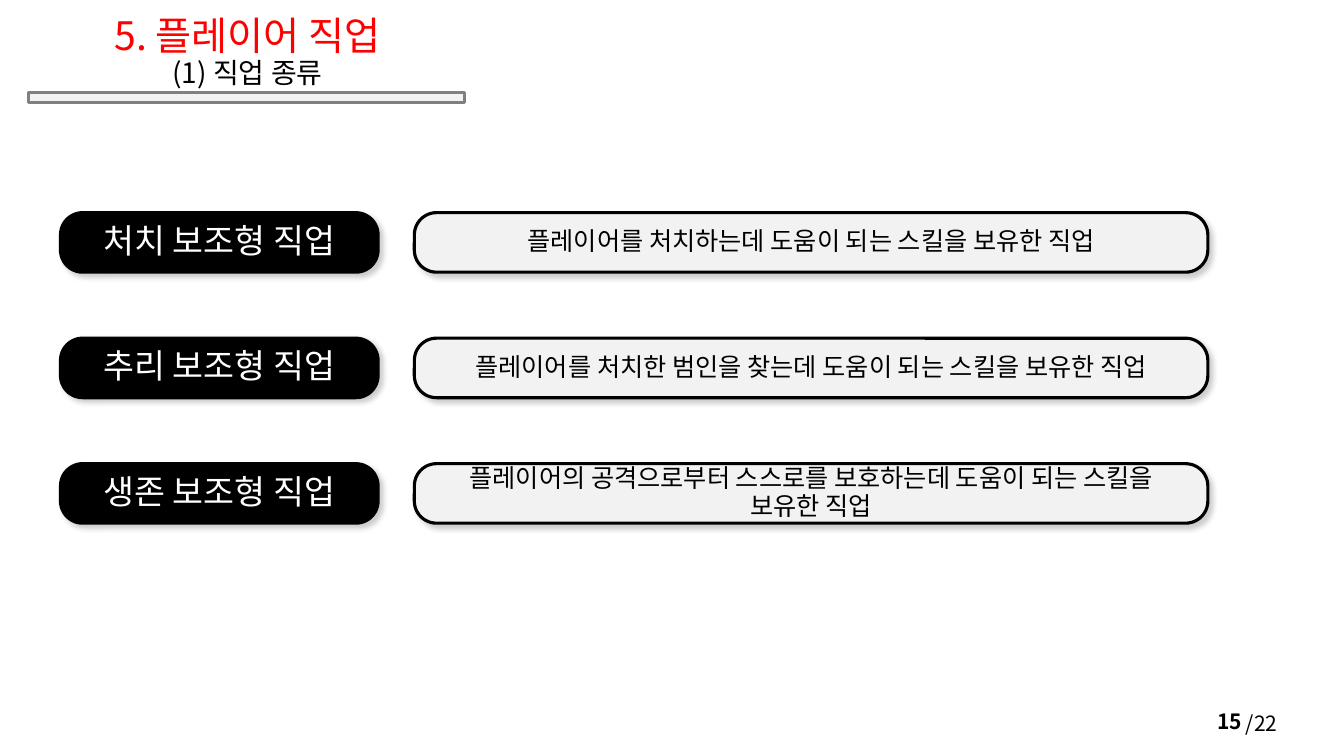
from lxml import etree
from pptx import Presentation
from pptx.dml.color import RGBColor
from pptx.enum.shapes import MSO_SHAPE
from pptx.enum.text import MSO_ANCHOR, MSO_AUTO_SIZE, PP_ALIGN
from pptx.oxml import parse_xml
from pptx.oxml.ns import qn
from pptx.util import Inches, Pt

RECT, ROUND = MSO_SHAPE.RECTANGLE, MSO_SHAPE.ROUNDED_RECTANGLE
TOP, MIDDLE, BOTTOM = MSO_ANCHOR.TOP, MSO_ANCHOR.MIDDLE, MSO_ANCHOR.BOTTOM
LEFT, CENTER, RIGHT = PP_ALIGN.LEFT, PP_ALIGN.CENTER, PP_ALIGN.RIGHT
NO_FIT = MSO_AUTO_SIZE.NONE

FONT = "Noto Sans CJK KR"
BLACK = RGBColor(0x00, 0x00, 0x00)
WHITE = RGBColor(0xFF, 0xFF, 0xFF)
RED = RGBColor(0xFF, 0x00, 0x00)
PALE = RGBColor(0xF2, 0xF2, 0xF2)
GRAY = RGBColor(0x80, 0x80, 0x80)

SHADOW = (
    '<a:effectLst xmlns:a="http://schemas.openxmlformats.org/drawingml/2006/main">'
    f'<a:outerShdw blurRad="{Pt(4)}" dist="{Pt(3)}" dir="2700000" algn="tl" '
    'rotWithShape="0"><a:srgbClr val="000000"><a:alpha val="20000"/></a:srgbClr>'
    '</a:outerShdw></a:effectLst>'
)

JOBS = [
    ("처치 보조형 직업", "플레이어를 처치하는데 도움이 되는 스킬을 보유한 직업"),
    ("추리 보조형 직업", "플레이어를 처치한 범인을 찾는데 도움이 되는 스킬을 보유한 직업"),
    ("생존 보조형 직업",
     "플레이어의 공격으로부터 스스로를 보호하는데 도움이 되는 스킬을 보유한 직업"),
]
ROW_TOP, ROW_STEP, ROW_HIGH = 2.11, 1.245, 0.59


def set_face(para):
    """Use the font for Latin and Korean letters alike, without kerning."""
    para.font.name = FONT
    props = para._p.pPr.find(qn("a:defRPr"))
    props.set("kern", "0")
    etree.SubElement(props, qn("a:ea")).set("typeface", FONT)


def set_text(shape, text, size, color, align, anchor, bold=False):
    frame = shape.text_frame
    frame.word_wrap = True
    frame.vertical_anchor = anchor
    para = frame.paragraphs[0]
    para.text = text
    para.alignment = align
    set_face(para)
    para.font.size = Pt(size)
    para.font.color.rgb = color
    para.font.bold = bold
    return para


def add_label(slide, box, text, align, anchor, bold=False):
    label = slide.shapes.add_textbox(*map(Inches, box))
    set_text(label, text, 15, BLACK, align, anchor, bold)


def add_box(slide, kind, box, fill, line):
    shape = slide.shapes.add_shape(kind, *map(Inches, box))
    shape.fill.solid()
    shape.fill.fore_color.rgb = fill
    shape.line.color.rgb = line
    shape.line.width = Pt(2.25)
    shape.shadow.inherit = False
    return shape


def add_pill(slide, box, text, size, fill, color):
    pill = add_box(slide, ROUND, box, fill, BLACK)
    pill.adjustments[0] = 0.372
    props = pill._element.spPr
    props.replace(props.find(qn("a:effectLst")), parse_xml(SHADOW))
    para = set_text(pill, text, size, color, CENTER, MIDDLE)
    para.line_spacing = 0.9
    # Keep the lines clear of the round ends
    frame = pill.text_frame
    frame.margin_left = frame.margin_right = Inches(0.2)


def set_title(slide):
    title = slide.shapes.title
    title.left, title.top = Inches(0.38), Inches(0.29)
    title.width, title.height = Inches(4.15), Inches(0.65)
    frame = title.text_frame
    frame.auto_size = NO_FIT
    frame.word_wrap = True
    frame.vertical_anchor = BOTTOM
    para = frame.paragraphs[0]
    para.alignment = CENTER
    para.line_spacing = 0.9
    set_face(para)
    for text, size, color in (("5. 플레이어 직업", 28, RED),
                              ("(1) 직업 종류", 20, BLACK)):
        if para.runs:
            para.add_line_break()
        run = para.add_run()
        run.text = text
        run.font.size = Pt(size)
        run.font.color.rgb = color


def main():
    deck = Presentation()
    deck.slide_width, deck.slide_height = Inches(13.33), Inches(7.5)
    slide = deck.slides.add_slide(deck.slide_layouts[5])

    # Heading and its bar
    add_box(slide, RECT, (0.28, 0.92, 4.33, 0.1), PALE, GRAY)
    set_title(slide)

    # Page number
    add_label(slide, (12.26, 7, 0.74, 0.35), "/22", LEFT, TOP)
    add_label(slide, (9.42, 6.95, 3, 0.4), "15", RIGHT, MIDDLE, True)

    # One row for each type of job
    for i, (name, about) in enumerate(JOBS):
        top = ROW_TOP + i * ROW_STEP
        add_pill(slide, (0.6, top, 3.15, ROW_HIGH), name, 24, BLACK, WHITE)
        add_pill(slide, (4.11, top, 7.87, ROW_HIGH), about, 18, PALE, BLACK)

    deck.save("out.pptx")


if __name__ == "__main__":
    main()
